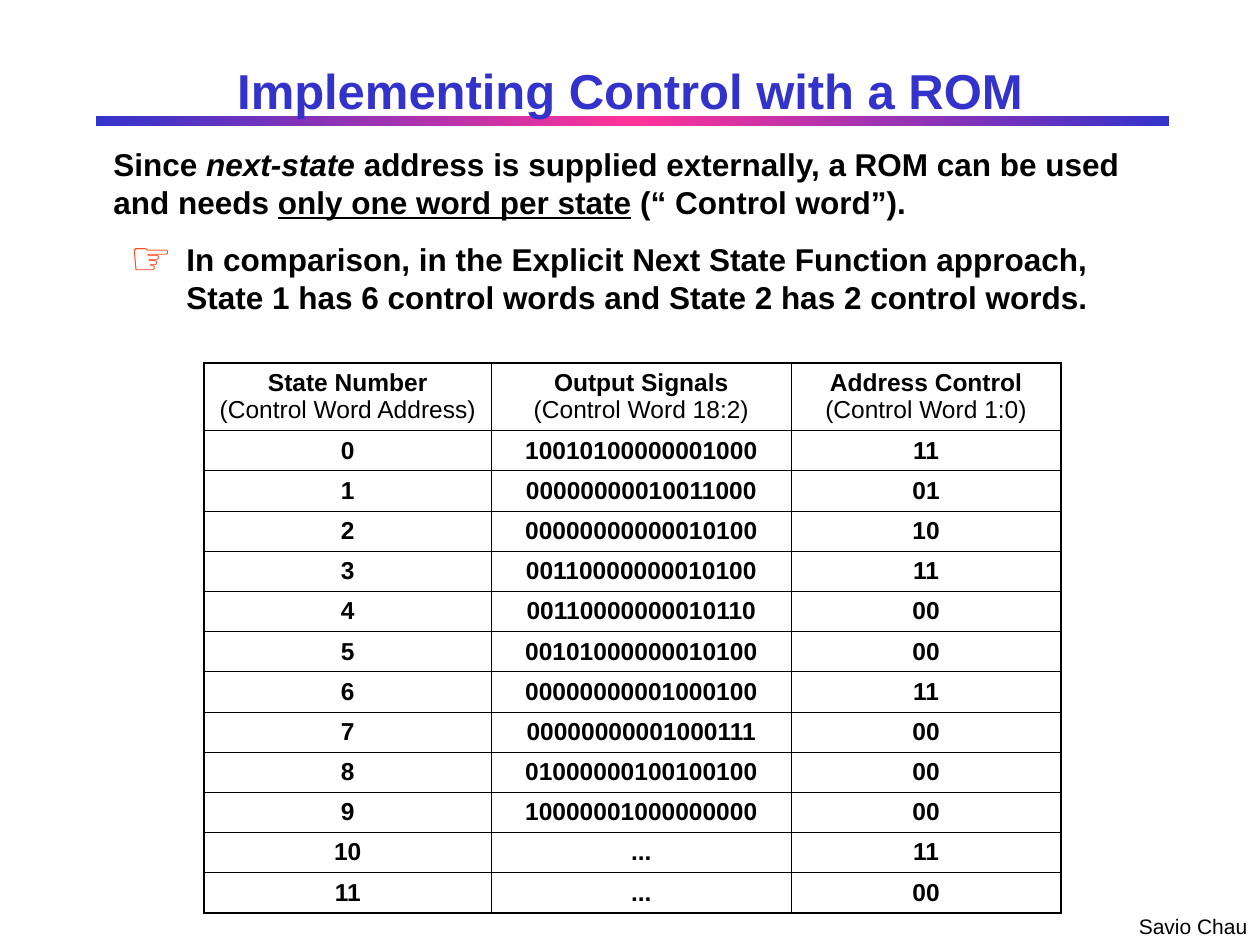
import pptx
import pptx.util
import pptx.dml.color
import pptx.enum.shapes
import pptx.enum.text
import pptx.oxml
import pptx.oxml.ns

Pt, Inches = pptx.util.Pt, pptx.util.Inches
RGBColor = pptx.dml.color.RGBColor
ALIGN = pptx.enum.text.PP_ALIGN
ANCHOR = pptx.enum.text.MSO_ANCHOR
BLACK = RGBColor(0, 0, 0)
BLUE = RGBColor(0x33, 0x33, 0xCC)
PINK = RGBColor(0xFF, 0x33, 0x99)
RED = RGBColor(0xFF, 0x33, 0)
THIN, THICK = 0.45, 1.08
COLS = (2.28, 2.38, 2.14)
HEAD, ROW = 0.47, 0.3
HEADS = (
    ("State Number", "(Control Word Address)"),
    ("Output Signals", "(Control Word 18:2)"),
    ("Address Control", "(Control Word 1:0)"),
)
WORDS = (
    ("10010100000001000", "11"),
    ("00000000010011000", "01"),
    ("00000000000010100", "10"),
    ("00110000000010100", "11"),
    ("00110000000010110", "00"),
    ("00101000000010100", "00"),
    ("00000000001000100", "11"),
    ("00000000001000111", "00"),
    ("01000000100100100", "00"),
    ("10000001000000000", "00"),
    ("...", "11"),
    ("...", "00"),
)


def node(tag, inner="", **attrs):
    """Make a drawing element such as a:ln."""
    pairs = "".join(f' {key}="{val}"' for key, val in attrs.items())
    return pptx.oxml.parse_xml(
        f'<a:{tag} {pptx.oxml.ns.nsdecls("a")}{pairs}>{inner}</a:{tag}>')


def color(rgb):
    return f'<a:srgbClr val="{rgb}"/>'


def write(para, text, size=18, rgb=BLACK, bold=True, italic=False, under=False):
    run = para.add_run()
    run.text = text
    font = run.font
    font.name, font.size, font.color.rgb = "Arial", Pt(size), rgb
    font.bold, font.italic, font.underline = bold, italic, under


def place(shape, left, top, width, height):
    shape.left, shape.top = Inches(left), Inches(top)
    shape.width, shape.height = Inches(width), Inches(height)


def add_bar(slide):
    bar = slide.shapes.add_shape(
        pptx.enum.shapes.MSO_SHAPE.RECTANGLE,
        Inches(0.76), Inches(0.92), Inches(8.52), Inches(0.08))
    bar.shadow.inherit = False
    bar.line.fill.background()
    bar.fill.gradient()
    bar.fill.gradient_angle = 0
    stops = bar._element.spPr.find(".//" + pptx.oxml.ns.qn("a:gsLst"))
    for stop in list(stops):
        stops.remove(stop)
    for pos, rgb in ((0, BLUE), (50, PINK), (100, BLUE)):
        stops.append(node("gs", color(rgb), pos=pos * 1000))
    slide.shapes._spTree.insert(2, bar._element)


def add_title(slide):
    title = slide.shapes.title
    place(title, 0.75, 0.42, 8.5, 0.58)
    frame = title.text_frame
    frame.auto_size = pptx.enum.text.MSO_AUTO_SIZE.NONE
    frame.vertical_anchor = ANCHOR.MIDDLE
    para = frame.paragraphs[0]
    para.alignment = ALIGN.CENTER
    write(para, "Implementing Control with a ROM", size=28, rgb=BLUE)


def set_list(para, left, hang, marks):
    props = para._p.get_or_add_pPr()
    props.set("marL", str(Inches(left)))
    props.set("indent", str(Inches(-hang)))
    props.extend(marks)


def add_body(slide):
    body = slide.placeholders[1]
    place(body, 0.8, 1.1, 8.48, 1.46)
    frame = body.text_frame
    frame.auto_size = pptx.enum.text.MSO_AUTO_SIZE.NONE
    lead = frame.paragraphs[0]
    set_list(lead, 0, 0, [node("buNone")])
    lead.space_before = Pt(0)
    write(lead, "Since ")
    write(lead, "next-state", italic=True)
    write(lead, " address is supplied externally, a ROM can be used and needs ")
    write(lead, "only one word per state", under=True)
    write(lead, " (“ Control word”).")
    point = frame.add_paragraph()
    point.level = 1
    set_list(point, 0.58, 0.45, [
        node("buClr", color(RED)), node("buSzPct", val=150000),
        node("buFont", typeface="Arial"), node("buChar", char="☞")])
    point.space_before = Pt(11.2)
    write(point, "In comparison, in the Explicit Next State Function approach, "
                 "State 1 has 6 control words and State 2 has 2 control words.")


def fill_cell(cell, lines, widths):
    """Write lines in a cell; only the first line of a head is bold."""
    cell.margin_left = cell.margin_right = Inches(0.02)
    cell.margin_top = cell.margin_bottom = Inches(0.05)
    frame = cell.text_frame
    for i, text in enumerate(lines):
        para = frame.add_paragraph() if i else frame.paragraphs[0]
        para.alignment = ALIGN.CENTER
        write(para, text, size=14, bold=i == 0)
    props = cell._tc.get_or_add_tcPr()
    for side, width in zip("LRTB", widths):
        props.append(node("ln" + side, f"<a:solidFill>{color(BLACK)}</a:solidFill>",
                          w=int(Pt(width))))
    cell.fill.background()


def add_grid(slide):
    rows = [HEADS] + [((str(n),), (word,), (addr,))
                      for n, (word, addr) in enumerate(WORDS)]
    table = slide.shapes.add_table(
        len(rows), len(COLS), Inches(1.62), Inches(2.88),
        Inches(sum(COLS)), Inches(HEAD + ROW * len(WORDS))).table
    table.first_row = table.horz_banding = False
    for col, width in zip(table.columns, COLS):
        col.width = Inches(width)
    for r, row in enumerate(rows):
        table.rows[r].height = Inches(ROW if r else HEAD)
        for c, lines in enumerate(row):
            edges = (c == 0, c == len(COLS) - 1, r == 0, r == len(rows) - 1)
            widths = [THICK if edge else THIN for edge in edges]
            fill_cell(table.cell(r, c), lines, widths)


def add_name(slide):
    box = slide.shapes.add_textbox(
        Inches(8.94), Inches(7.2), Inches(1.06), Inches(0.3))
    box.text_frame.word_wrap = False
    write(box.text_frame.paragraphs[0], "Savio Chau", size=12, bold=False)


def main():
    deck = pptx.Presentation()
    deck.slide_width, deck.slide_height = Inches(10), Inches(7.5)
    slide = deck.slides.add_slide(deck.slide_layouts[1])
    add_bar(slide)
    add_title(slide)
    add_body(slide)
    add_grid(slide)
    add_name(slide)
    deck.save("out.pptx")


if __name__ == "__main__":
    main()
